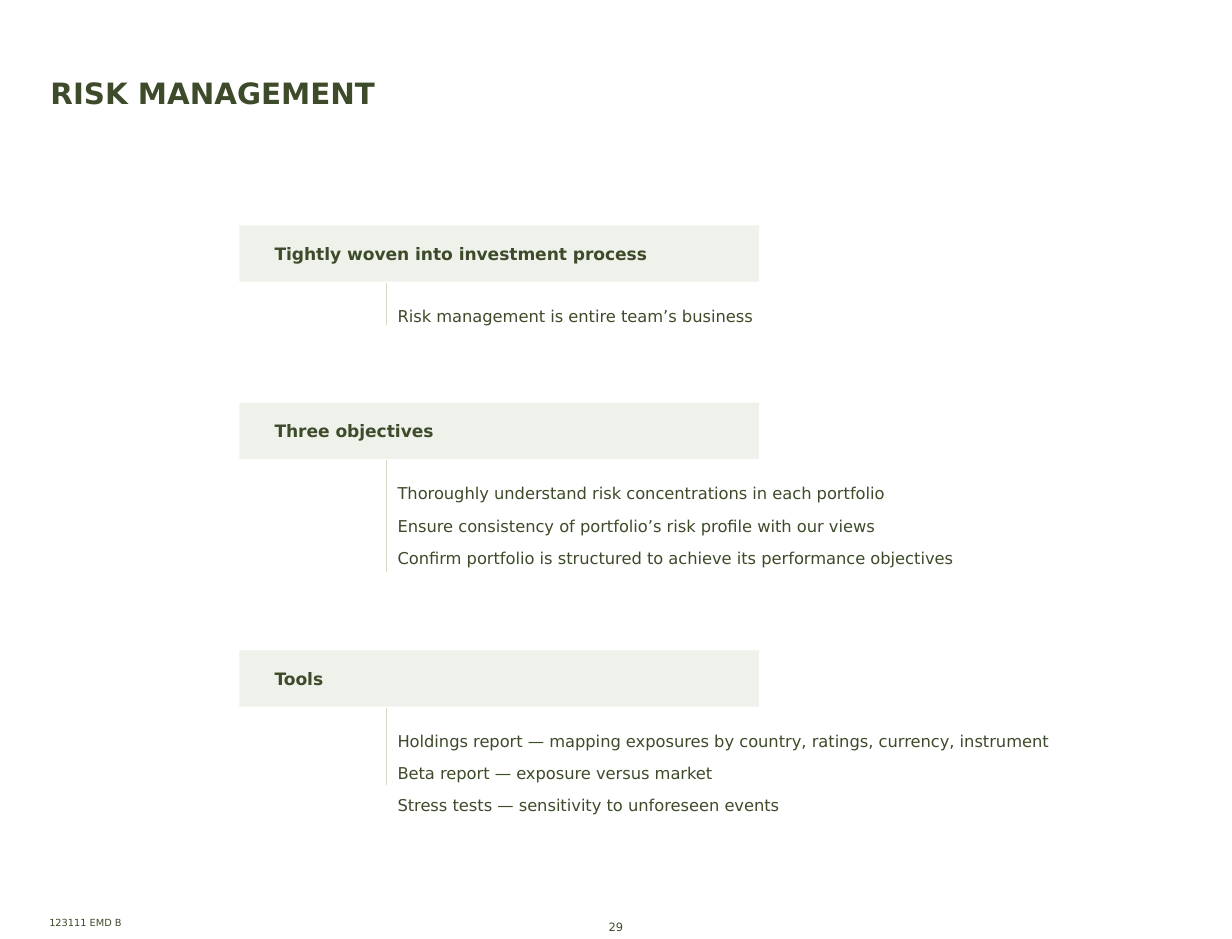
from lxml import etree
from pptx import Presentation
from pptx import util as u
from pptx.dml.color import RGBColor
from pptx.enum import shapes, text
from pptx.oxml.ns import qn

FONT = "DejaVu Sans"
HEADING, BODY, BAR, RULE = "3D4B2B", "3D4B2A", "EFF2EA", "D4DCC6"
BAR_LEFT, BAR_WIDTH, BAR_HEIGHT = 2.04, 4.43, 0.48
BODY_LEFT = 3.29

# Bar top, heading, rule length, body width, body lines
SECTIONS = [
    (1.92, "Tightly woven into investment process", 0.36, 3.15,
     ["Risk management is entire team’s business"]),
    (3.43, "Three objectives", 0.95, 4.89,
     ["Thoroughly understand risk concentrations in each portfolio",
      "Ensure consistency of portfolio’s risk profile with our views",
      "Confirm portfolio is structured to achieve its performance objectives"]),
    (5.54, "Tools", 0.66, 5.74,
     ["Holdings report — mapping exposures by country, ratings, currency, instrument",
      "Beta report — exposure versus market",
      "Stress tests — sensitivity to unforeseen events"]),
]


def colour(value):
    return RGBColor.from_string(value)


def write(frame, lines, size=10, color=BODY, bold=False, gap=0, wrap=True,
          align=text.PP_ALIGN.LEFT, anchor=text.MSO_ANCHOR.TOP,
          insets=(0, 0, 0, 0)):
    """Fill a text frame, one paragraph for each line."""
    frame.word_wrap = wrap
    frame.vertical_anchor = anchor
    (frame.margin_left, frame.margin_top,
     frame.margin_right, frame.margin_bottom) = map(u.Inches, insets)
    for index, line in enumerate(lines):
        paragraph = frame.add_paragraph() if index else frame.paragraphs[0]
        paragraph.alignment = align
        paragraph.space_before = u.Pt(gap if index else 0)
        run = paragraph.add_run()
        run.text = line
        run.font.name = FONT
        run.font.size = u.Pt(size)
        run.font.bold = bold
        run.font.color.rgb = colour(color)


class Page:
    """The current slide and its kinds of element."""

    def __init__(self, slide):
        self.shapes = slide.shapes

    def label(self, left, top, width, height, lines, **style):
        box = self.shapes.add_textbox(*map(u.Inches, (left, top, width, height)))
        write(box.text_frame, lines, **style)

    def bar(self, top, heading):
        bar = self.shapes.add_shape(
            shapes.MSO_SHAPE.RECTANGLE,
            *map(u.Inches, (BAR_LEFT, top, BAR_WIDTH, BAR_HEIGHT)))
        bar.shadow.inherit = False
        bar.fill.solid()
        bar.fill.fore_color.rgb = colour(BAR)
        bar.line.fill.background()
        write(bar.text_frame, [heading], size=10.5, color=HEADING, bold=True,
              anchor=text.MSO_ANCHOR.MIDDLE, insets=(0.3, 0.15, 0.1, 0.15))

    def rule(self, left, top, length):
        rule = self.shapes.add_connector(
            shapes.MSO_CONNECTOR.STRAIGHT,
            *map(u.Inches, (left, top, left, top + length)))
        rule.line.color.rgb = colour(RULE)
        rule.line.width = u.Pt(0.15)
        etree.SubElement(rule._element.spPr, qn("a:effectLst"))

    def section(self, top, heading, rule_length, body_width, lines):
        self.bar(top, heading)
        self.label(BODY_LEFT, top + 0.69, body_width, 0.27 * len(lines) - 0.08,
                   lines, gap=7.7, wrap=False, insets=(0.1, 0, 0, 0))
        self.rule(BODY_LEFT, top + BAR_HEIGHT + 0.01, rule_length)


def main():
    deck = Presentation()
    deck.slide_width, deck.slide_height = u.Inches(10.5), u.Inches(8)
    page = Page(deck.slides.add_slide(deck.slide_layouts[6]))

    # Title
    page.label(0.43, 0.3, 9.75, 0.64, ["RISK MANAGEMENT"], size=18,
               color=HEADING, bold=True, anchor=text.MSO_ANCHOR.BOTTOM,
               insets=(0, 0, 0.11, 0))

    # Sections
    for section in SECTIONS:
        page.section(*section)

    # Footer
    page.label(5.14, 7.84, 0.17, 0.12, ["29"], size=7, wrap=False,
               align=text.PP_ALIGN.RIGHT)
    page.label(0.42, 7.81, 0.62, 0.1, ["123111 EMD B"], size=6, wrap=False,
               anchor=text.MSO_ANCHOR.BOTTOM)

    deck.save("out.pptx")


if __name__ == "__main__":
    main()
